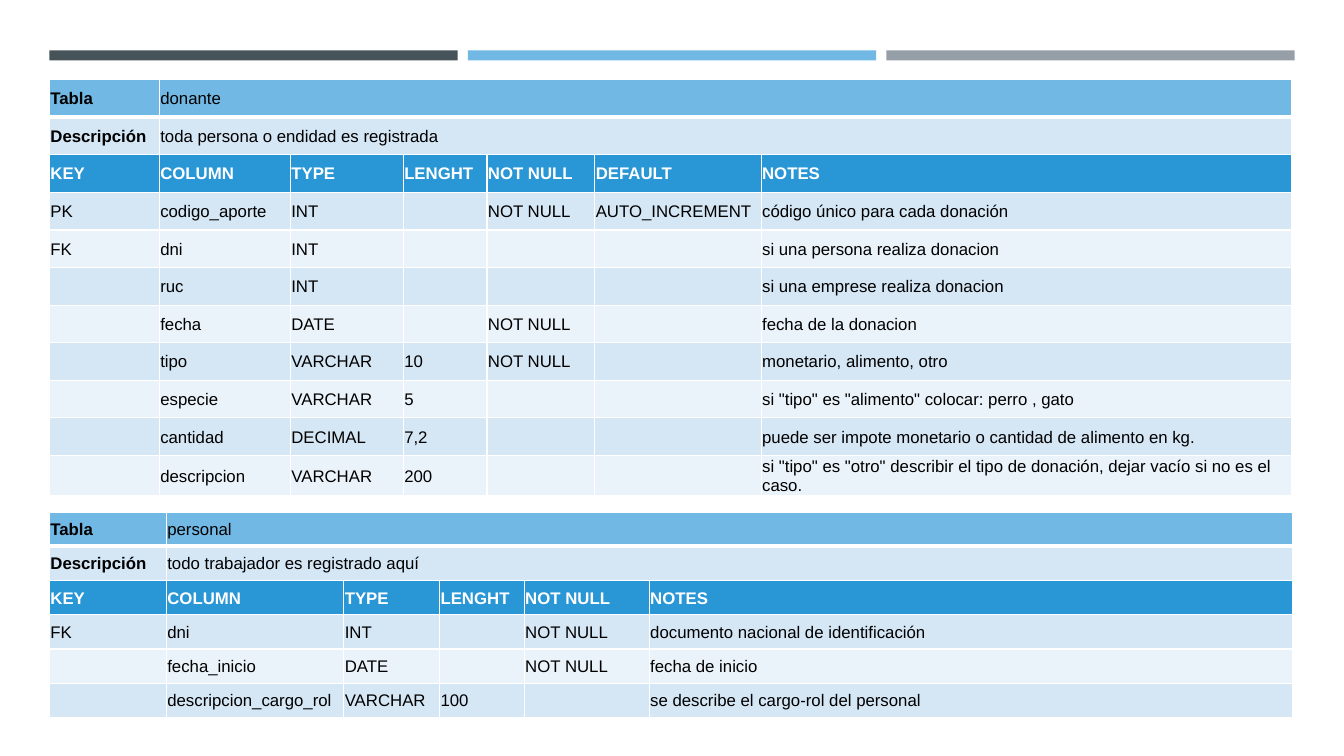
from lxml.etree import SubElement
from pptx import Presentation
from pptx.dml.color import RGBColor
from pptx.enum.shapes import MSO_SHAPE
from pptx.enum.text import MSO_ANCHOR
from pptx.oxml.ns import qn
from pptx.util import Inches, Pt

COLORS = {
    "slate": "465359",
    "sky": "71B9E4",
    "gray": "969FA7",
    "header": "2996D6",
    "band": "D5E6F5",
    "pale": "EBF3FA",
    "white": "FFFFFF",
    "black": "000000",
}
LEFT = 0.49

DONANTE = [
    ["Tabla", "donante"],
    ["Descripción", "toda persona o endidad es registrada"],
    ["KEY", "COLUMN", "TYPE", "LENGHT", "NOT NULL", "DEFAULT", "NOTES"],
    ["PK", "codigo_aporte", "INT", "", "NOT NULL", "AUTO_INCREMENT",
     "código único para cada donación"],
    ["FK", "dni", "INT", "", "", "", "si una persona realiza donacion"],
    ["", "ruc", "INT", "", "", "", "si una emprese realiza donacion"],
    ["", "fecha", "DATE", "", "NOT NULL", "", "fecha de la donacion"],
    ["", "tipo", "VARCHAR", "10", "NOT NULL", "", "monetario, alimento, otro"],
    ["", "especie", "VARCHAR", "5", "", "",
     'si "tipo" es "alimento" colocar: perro , gato'],
    ["", "cantidad", "DECIMAL", "7,2", "", "",
     "puede ser impote monetario o cantidad de alimento en kg."],
    ["", "descripcion", "VARCHAR", "200", "", "",
     'si "tipo" es "otro" describir el tipo de donación, dejar vacío si no es el caso.'],
]
PERSONAL = [
    ["Tabla", "personal"],
    ["Descripción", "todo trabajador es registrado aquí"],
    ["KEY", "COLUMN", "TYPE", "LENGHT", "NOT NULL", "NOTES"],
    ["FK", "dni", "INT", "", "NOT NULL", "documento nacional de identificación"],
    ["", "fecha_inicio", "DATE", "", "NOT NULL", "fecha de inicio"],
    ["", "descripcion_cargo_rol", "VARCHAR", "100", "",
     "se describe el cargo-rol del personal"],
]


def color(name):
    return RGBColor.from_string(COLORS[name])


def add_bar(slide, left, fill):
    bar = slide.shapes.add_shape(
        MSO_SHAPE.RECTANGLE, Inches(left), Inches(0.5), Inches(4.05), Inches(0.1))
    bar.shadow.inherit = False
    bar.fill.solid()
    bar.fill.fore_color.rgb = color(fill)
    bar.line.fill.background()


def add_borders(cell, row):
    properties = cell._tc.get_or_add_tcPr()
    widths = {"lnL": 1, "lnR": 1,
              "lnT": 3 if row == 1 else 1, "lnB": 3 if row == 0 else 1}
    for side, width in widths.items():
        border = SubElement(properties, qn(f"a:{side}"), w=str(Pt(width)))
        solid = SubElement(border, qn("a:solidFill"))
        SubElement(solid, qn("a:srgbClr"), val=COLORS["white"])


def row_fill(row):
    if row < 3:
        return ("sky", "band", "header")[row]
    return "band" if row % 2 else "pale"


def style_cell(cell, text, row, column):
    cell.margin_left = cell.margin_top = cell.margin_right = Inches(0.01)
    cell.margin_bottom = 0
    cell.vertical_anchor = MSO_ANCHOR.MIDDLE
    add_borders(cell, row)
    cell.fill.solid()
    cell.fill.fore_color.rgb = color(row_fill(row))
    cell.text = text
    font = cell.text_frame.paragraphs[0].font
    font.name = "Arial"
    font.size = Pt(12)
    font.bold = row == 2 or (row < 2 and column == 0)
    font.color.rgb = color("white" if row == 2 else "black")


def add_dictionary(slide, top, widths, heights, content):
    table = slide.shapes.add_table(
        len(heights), len(widths), Inches(LEFT), Inches(top),
        Inches(sum(widths)), Inches(sum(heights))).table
    table.first_row = table.horz_banding = False
    for column, width in zip(table.columns, widths):
        column.width = Inches(width)
    for row, height in zip(table.rows, heights):
        row.height = Inches(height)
    for r, texts in enumerate(content):
        for c in range(len(widths)):
            style_cell(table.cell(r, c), texts[c] if c < len(texts) else "", r, c)
    for r in range(2):
        table.cell(r, 1).merge(table.cell(r, len(widths) - 1))


def main():
    prs = Presentation()
    prs.slide_width = Inches(13.33)
    prs.slide_height = Inches(7.5)
    slide = prs.slides.add_slide(prs.slide_layouts[6])
    for i, fill in enumerate(("slate", "sky", "gray")):
        add_bar(slide, LEFT + i * 4.15, fill)
    add_dictionary(slide, 0.79, [1.09, 1.3, 1.12, 0.83, 1.07, 1.65, 5.26],
                   [3.73 / 10] * 10 + [0.4], DONANTE)
    add_dictionary(slide, 5.08, [1.16, 1.76, 0.95, 0.84, 1.24, 6.38],
                   [0.34] * 6, PERSONAL)
    prs.save("out.pptx")


if __name__ == "__main__":
    main()
